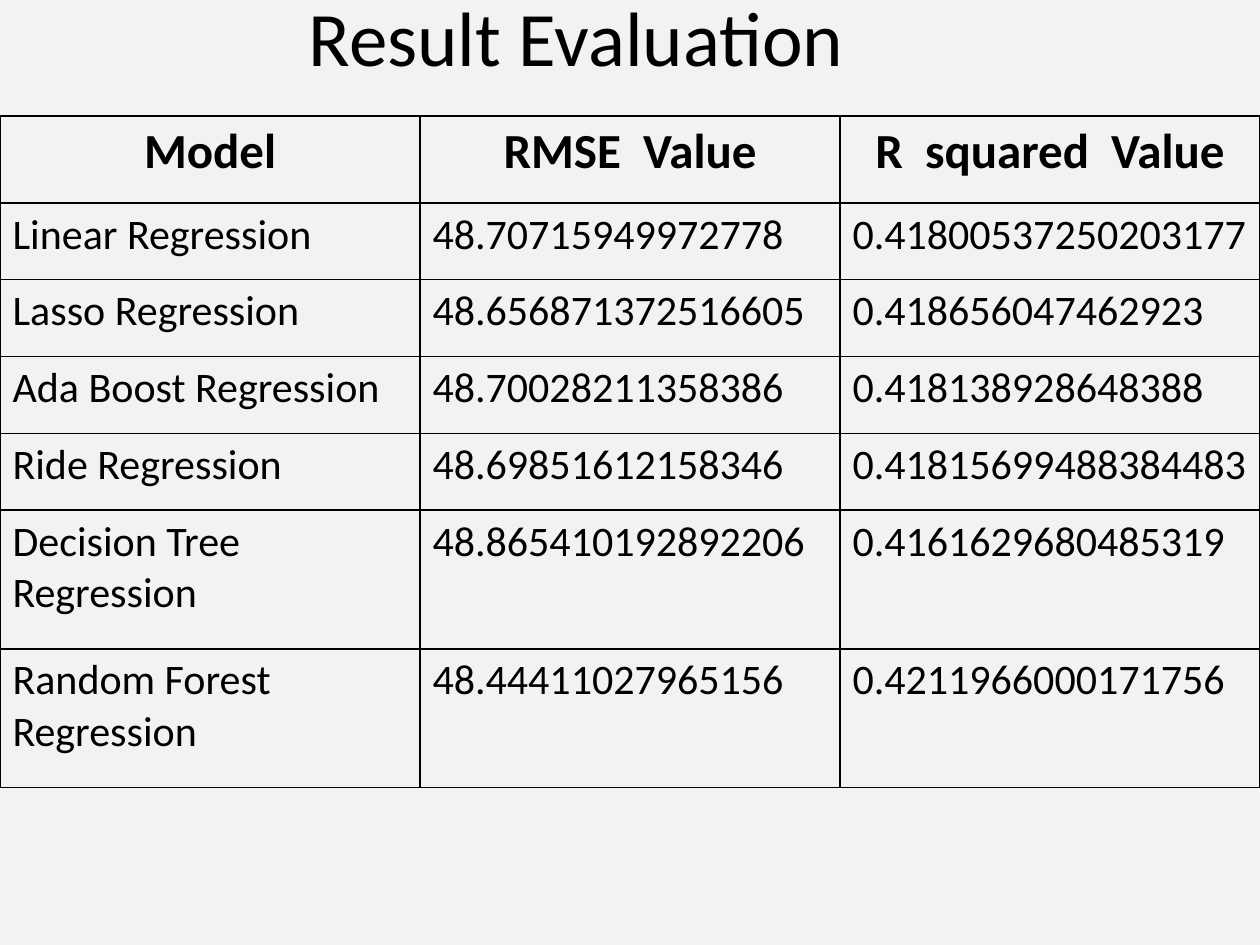
from lxml import etree
from pptx import Presentation
from pptx.dml.color import RGBColor
from pptx.enum.text import MSO_ANCHOR, PP_ALIGN
from pptx.oxml.ns import qn
from pptx.util import Inches, Pt

TOP = MSO_ANCHOR.TOP
LEFT, CENTER = PP_ALIGN.LEFT, PP_ALIGN.CENTER
FONT, INK, PAPER = "Calibri", "000000", "F2F2F2"

TITLE = "Result Evaluation"
HEAD = ("Model", "RMSE  Value", "R  squared  Value")
BODY = [
    ("Linear Regression", "48.70715949972778", "0.41800537250203177"),
    ("Lasso Regression", "48.656871372516605", "0.418656047462923"),
    ("Ada Boost Regression", "48.70028211358386", "0.418138928648388"),
    ("Ride Regression", "48.69851612158346", "0.41815699488384483"),
    ("Decision Tree Regression", "48.865410192892206", "0.4161629680485319"),
    ("Random Forest Regression", "48.44411027965156", "0.4211966000171756"),
]
HIGH = [0.69] + [0.61] * 4 + [1.1] * 2
WIDE = 10


def color(code):
    return RGBColor.from_string(code)


def write(frame, text, size, bold=False, align=LEFT):
    frame.text = text
    para = frame.paragraphs[0]
    para.alignment = align
    font = para.runs[0].font
    font.name, font.size, font.bold = FONT, Pt(size), bold
    font.color.rgb = color(INK)


def border(cell):
    props = cell._tc.get_or_add_tcPr()
    for spot, side in enumerate(("lnL", "lnR", "lnT", "lnB")):
        line = etree.Element(qn(f"a:{side}"), w=str(Pt(1)))
        fill = etree.SubElement(line, qn("a:solidFill"))
        etree.SubElement(fill, qn("a:srgbClr"), val=INK)
        props.insert(spot, line)


def add_title(slide):
    title = slide.shapes.title
    title.left, title.top = Inches(2.45), Inches(-0.08)
    title.width, title.height = Inches(8.64), Inches(0.74)
    frame = title.text_frame
    frame.margin_left = frame.margin_right = 0
    frame.margin_top = frame.margin_bottom = 0
    frame.vertical_anchor = TOP
    write(frame, TITLE, 44)


def add_grid(slide):
    rows = [HEAD] + BODY
    table = slide.shapes.add_table(
        len(rows), len(HEAD), 0, Inches(0.92), Inches(WIDE), Inches(sum(HIGH))
    ).table
    table.first_row = table.horz_banding = False
    for col in table.columns:
        col.width = Inches(WIDE / len(HEAD))
    for r, row in enumerate(rows):
        table.rows[r].height = Inches(HIGH[r])
        style = (28, True, CENTER) if r == 0 else (24, False, LEFT)
        for c, text in enumerate(row):
            cell = table.cell(r, c)
            cell.fill.background()
            border(cell)
            write(cell.text_frame, text, *style)


def main():
    deck = Presentation()
    deck.slide_width, deck.slide_height = Inches(WIDE), Inches(7.5)
    slide = deck.slides.add_slide(deck.slide_layouts[5])
    back = slide.background.fill
    back.solid()
    back.fore_color.rgb = color(PAPER)
    add_title(slide)
    add_grid(slide)
    deck.save("out.pptx")


if __name__ == "__main__":
    main()
